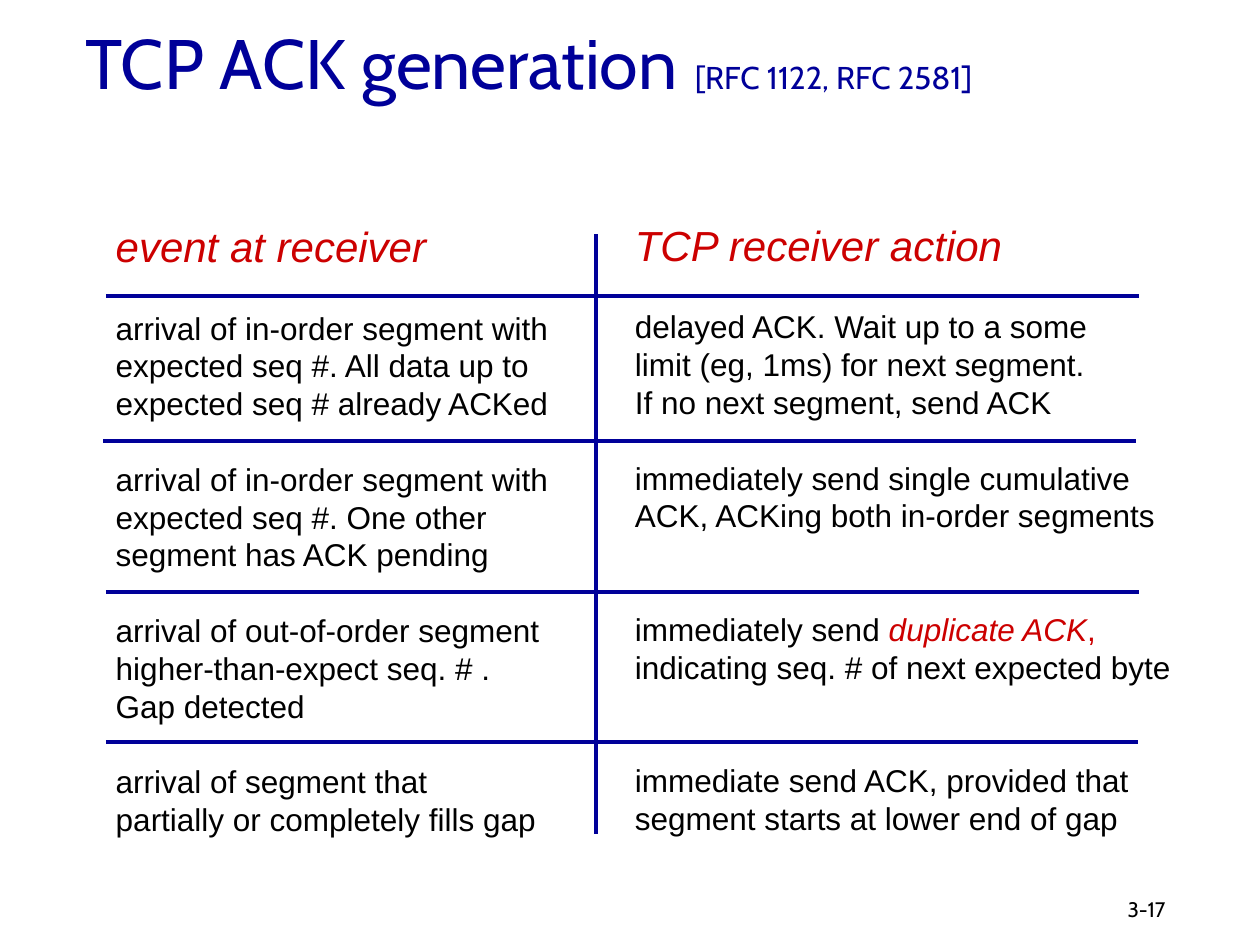
from dataclasses import dataclass

from lxml import etree
from pptx import Presentation
from pptx.dml.color import RGBColor
from pptx.enum.shapes import MSO_CONNECTOR
from pptx.enum.text import MSO_ANCHOR, MSO_AUTO_SIZE
from pptx.oxml.ns import qn
from pptx.util import Inches, Pt

STRAIGHT = MSO_CONNECTOR.STRAIGHT
MIDDLE = MSO_ANCHOR.MIDDLE
GROW = MSO_AUTO_SIZE.SHAPE_TO_FIT_TEXT

COLORS = {"blue": "000099", "red": "CC0000", "black": "000000"}
HEAD_SIZE, BODY_SIZE = 24, 18
LEADING = 1.2
BODY_LINE = BODY_SIZE * LEADING
ROW_LINES = 4  # every table row is four text lines high, gap included


@dataclass
class Span:
    text: str
    size: float
    color: str
    italic: bool = False


@dataclass
class Column:
    left: float
    top: float
    width: float
    height: float
    heading: str
    cells: list[list[str | list[Span]]]


@dataclass
class Rule:
    x1: float
    y1: float
    x2: float
    y2: float


TITLE = [
    Span("TCP ACK generation", 40, "blue"),
    Span(" ", 44, "blue"),
    Span("[RFC 1122, RFC 2581]", 18, "blue"),
]

COLUMNS = [
    Column(0.82, 1.7, 3.65, 5.47, "event at receiver", [
        ["arrival of in-order segment with",
         "expected seq #. All data up to",
         "expected seq # already ACKed"],
        ["arrival of in-order segment with",
         "expected seq #. One other",
         "segment has ACK pending"],
        ["arrival of out-of-order segment",
         "higher-than-expect seq. # .",
         "Gap detected"],
        ["arrival of segment that",
         "partially or completely fills gap"],
    ]),
    Column(4.94, 1.69, 4.49, 5.52, "TCP receiver action", [
        ["delayed ACK. Wait up to a some",
         "limit (eg, 1ms) for next segment.",
         "If no next segment, send ACK"],
        ["immediately send single cumulative",
         "ACK, ACKing both in-order segments"],
        [[Span("immediately send ", BODY_SIZE, "black"),
          Span("duplicate ACK", BODY_SIZE, "red", True),
          Span(",", BODY_SIZE, "red")],
         "indicating seq. # of next expected byte"],
        ["immediate send ACK, provided that",
         "segment starts at lower end of gap"],
    ]),
]

RULES = [
    Rule(4.73, 1.86, 4.73, 6.62),
    Rule(0.84, 2.35, 9.04, 2.35),
    Rule(0.82, 3.5, 9.02, 3.5),
    Rule(0.84, 4.7, 9.04, 4.7),
    Rule(0.84, 5.89, 9.03, 5.89),
]


def rgb(name: str) -> RGBColor:
    return RGBColor.from_string(COLORS[name])


def add_box(s, left: float, top: float, width: float, height: float):
    """Add an empty text box and return its text frame."""
    box = s.shapes.add_textbox(Inches(left), Inches(top), Inches(width), Inches(height))
    return box.text_frame


def fill_paragraph(p, spans: list[Span], font_name: str) -> None:
    p.font.name = font_name
    for span in spans:
        r = p.add_run()
        r.text = span.text
        r.font.name = font_name
        r.font.size = Pt(span.size)
        r.font.italic = span.italic
        r.font.color.rgb = rgb(span.color)


def add_column(s, column: Column) -> None:
    """Write a heading and its cells, spaced so that rows align across columns."""
    tf = add_box(s, column.left, column.top, column.width, column.height)
    tf.word_wrap = False
    tf.auto_size = GROW
    p = tf.paragraphs[0]
    p.line_spacing = Pt(HEAD_SIZE * LEADING)
    fill_paragraph(p, [Span(column.heading, HEAD_SIZE, "red", True)], "Arial")

    gap_lines = 1
    for cell in column.cells:
        for i, line in enumerate(cell):
            p = tf.add_paragraph()
            p.line_spacing = Pt(BODY_LINE)
            p.space_before = Pt(0 if i else gap_lines * BODY_LINE)
            spans = [Span(line, BODY_SIZE, "black")] if isinstance(line, str) else line
            fill_paragraph(p, spans, "Arial")
        gap_lines = ROW_LINES - len(cell)


def add_rule(s, rule: Rule) -> None:
    line = s.shapes.add_connector(
        STRAIGHT, Inches(rule.x1), Inches(rule.y1), Inches(rule.x2), Inches(rule.y2))
    line.line.color.rgb = rgb("blue")
    line.line.width = Pt(2.25)
    etree.SubElement(line._element.spPr, qn("a:effectLst"))


def main() -> None:
    prs = Presentation()
    prs.slide_width, prs.slide_height = Inches(10), Inches(7.5)
    s = prs.slides.add_slide(prs.slide_layouts[6])

    tf = add_box(s, 0.58, 0.05, 8.5, 0.83)
    tf.word_wrap = True
    tf.vertical_anchor = MIDDLE
    fill_paragraph(tf.paragraphs[0], TITLE, "Cabin")

    tf = add_box(s, 8.85, 7.07, 0.99, 0.3)
    tf.word_wrap = True
    fill_paragraph(tf.paragraphs[0], [Span("3-17", 12, "black")], "Cabin")

    for column in COLUMNS:
        add_column(s, column)
    for rule in RULES:
        add_rule(s, rule)

    prs.save("out.pptx")


if __name__ == "__main__":
    main()
